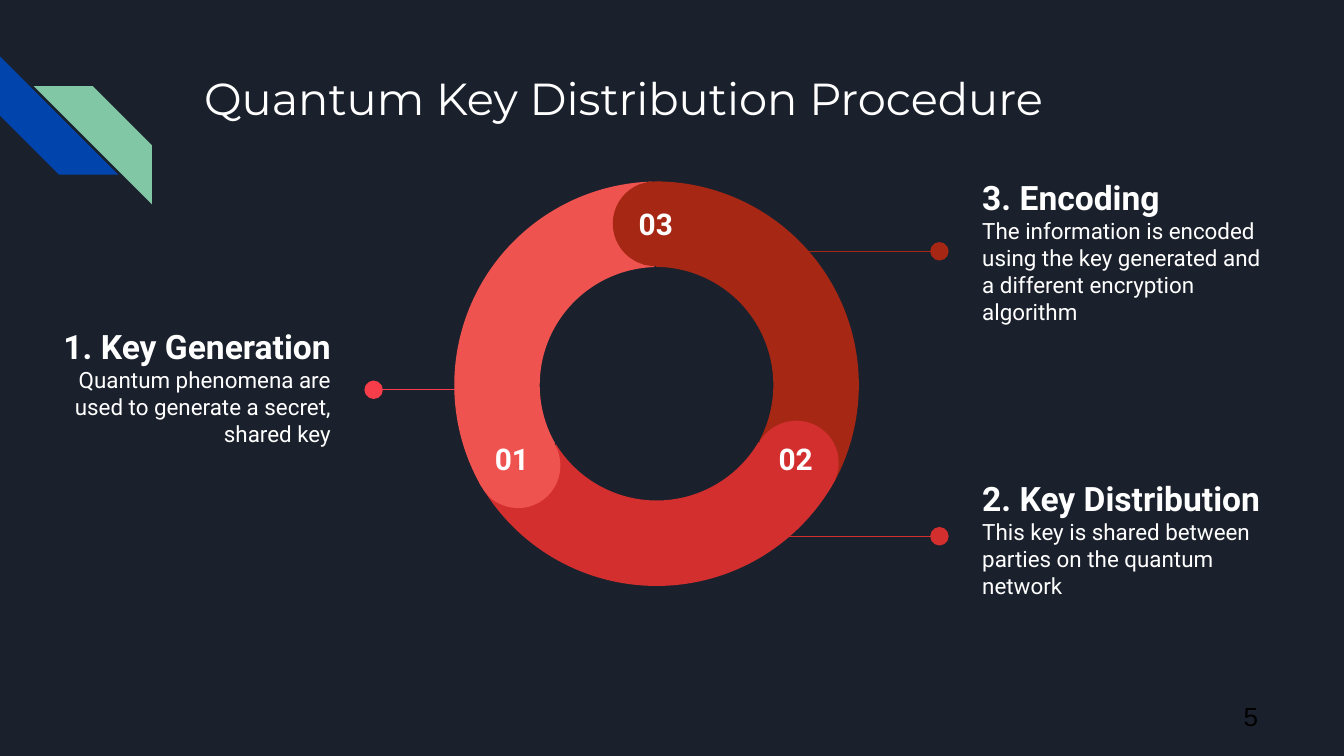
import pptx
import pptx.util
import pptx.dml.color
import pptx.enum.shapes
import pptx.enum.text
import pptx.oxml.ns
from lxml import etree

SHAPE = pptx.enum.shapes.MSO_SHAPE
ALIGN = pptx.enum.text.PP_ALIGN
ANCHOR = pptx.enum.text.MSO_ANCHOR
COLS, ROWS = 100, 56.25
WIDTH, HEIGHT = pptx.util.Inches(10), pptx.util.Inches(5.625)
WHITE, CORAL, RED, BRICK = "FFFFFF", "EF5350", "D32F2F", "A52714"


def rgb(value):
    """Turn a hex string into a colour."""
    return pptx.dml.color.RGBColor.from_string(value)


def grid(x, y):
    """Turn grid columns and rows into slide lengths."""
    return round(x * WIDTH / COLS), round(y * HEIGHT / ROWS)


def add_preset(s, kind, box, color, rotation=0, adjustments=()):
    """Add a flat filled preset shape in a grid box."""
    x, y, w, h = box
    sp = s.shapes.add_shape(kind, *grid(x, y), *grid(w, h))
    sp.fill.solid()
    sp.fill.fore_color.rgb = rgb(color)
    sp.line.fill.background()
    sp.shadow.inherit = False
    sp.rotation = rotation
    for i, value in enumerate(adjustments):
        sp.adjustments[i] = value
    return sp


def add_text(s, box, lines, align=ALIGN.LEFT, anchor=ANCHOR.TOP, color=WHITE, after=0):
    """Add a text box from (text, font format) lines."""
    x, y, w, h = box
    tf = s.shapes.add_textbox(*grid(x, y), *grid(w, h)).text_frame
    inset = pptx.util.Inches(0.1)
    frame = dict(word_wrap=True, vertical_anchor=anchor, margin_left=inset,
                 margin_right=inset, margin_top=inset, margin_bottom=inset)
    for name, value in frame.items():
        setattr(tf, name, value)
    for i, (text, font) in enumerate(lines):
        p = tf.add_paragraph() if i else tf.paragraphs[0]
        p.alignment = align
        r = p.add_run()
        r.text = text
        for name, value in font.items():
            setattr(r.font, name, value)
        r.font.color.rgb = rgb(color)
    if after:
        p.space_after = pptx.util.Pt(after)


def style(name, size, bold=False):
    """Return font format values."""
    return dict(name=name, size=pptx.util.Pt(size), bold=bold)


def add_header(s, box, title):
    """Draw the corner stripes and the title."""
    x, y, w, h = box
    side = 8.8
    add_preset(s, SHAPE.DIAGONAL_STRIPE, (x, y, side, side), "0145AC", 270, [0.5])
    sp = add_preset(s, SHAPE.DIAGONAL_STRIPE, (x + 2.5, y + 2.2, side, side), "82C7A5", 0, [0.5])
    sp._element.spPr.find(pptx.oxml.ns.qn("a:xfrm")).set("flipH", "1")
    add_text(s, (x + 14.2, y + 0.1, w - 23, h), [(title, style("Montserrat", 24))])


def add_callout(s, box, heading, body, color, drop, length, left=False):
    """Draw a text block with a dotted leader towards the ring."""
    x, y, w, h = box
    lines = [(heading, style("Roboto", 18, True)), (body, style("Roboto", 12))]
    add_text(s, box, lines, ALIGN.RIGHT if left else ALIGN.LEFT, ANCHOR.MIDDLE, after=16)
    gap = 2.2
    end = x + w + gap if left else x - gap
    start = end + length if left else end - length
    line = s.shapes.add_connector(pptx.enum.shapes.MSO_CONNECTOR.STRAIGHT,
                                  *grid(start, y + drop), *grid(end, y + drop))
    line.line.color.rgb = rgb(color)
    line.line.width = pptx.util.Pt(0.75)
    qn = pptx.oxml.ns.qn
    etree.SubElement(line.line._get_or_add_ln(), qn("a:tailEnd"), type="oval", w="lg", len="lg")
    etree.SubElement(line._element.spPr, qn("a:effectLst"))


def add_ring(s, box):
    """Draw three arcs with round numbered heads."""
    x, y, w, h = box
    disc = 6.3
    segments = [
        (CORAL, 300, (0.1, 0), (1.7, 18), (1.6, 18.3), "01"),
        (BRICK, 60, (-0.1, 0), (11.9, 0), (12.3, 0.8), "03"),
        (RED, 180, (0, -0.2), (22.4, 17.8), (22.7, 18.3), "02"),
    ]
    for color, turn, (dx, dy), *_ in sorted(segments, key=lambda seg: seg[1]):
        add_preset(s, SHAPE.BLOCK_ARC, (x + dx, y + dy, w, h), color, turn,
                   [1.26225 * 100, 197.03, 0.21])
    for color, turn, _, (dx, dy), *_ in segments:
        place = (x + dx, y + dy, disc, disc)
        add_preset(s, SHAPE.PIE, place, color, turn - 59.3, [61.9, 149.96])
        add_preset(s, SHAPE.PIE, place, color, (turn + 120) % 360, [40.28, 171.84])
    for *_, (dx, dy), number in segments:
        add_text(s, (x + dx, y + dy, 5.6, 2.9), [(number, style("Roboto", 16, True))], ALIGN.CENTER)


def main():
    """Build the slide and save it."""
    prs = pptx.Presentation()
    prs.slide_width, prs.slide_height = WIDTH, HEIGHT
    s = prs.slides.add_slide(prs.slide_layouts[6])
    s.background.fill.solid()
    s.background.fill.fore_color.rgb = rgb("1B212C")
    add_header(s, (0, 4.2, COLS, 10), "Quantum Key Distribution Procedure")
    w, h = 23.2, 14.1
    add_callout(s, (2.4, 21.7, w, h), "1. Key Generation",
                "Quantum phenomena are used to generate a secret, shared key",
                "F63D49", 7.3, 6.9, left=True)
    add_callout(s, (72.1, 11.6, w, h), "3. Encoding",
                "The information is encoded using the key generated and a different encryption algorithm",
                BRICK, 7.1, 14)
    add_callout(s, (72.1, 33, w, h), "2. Key Distribution",
                "This key is shared between parties on the quantum network", RED, 6.9, 14)
    add_ring(s, (33.7, 13.5, 30.3, 30.3))
    add_text(s, (90, 51.1, 4.6, 4.3), [("5", style("Arial", 14))], ALIGN.RIGHT,
             ANCHOR.MIDDLE, "000000")
    prs.save("out.pptx")


if __name__ == "__main__":
    main()
